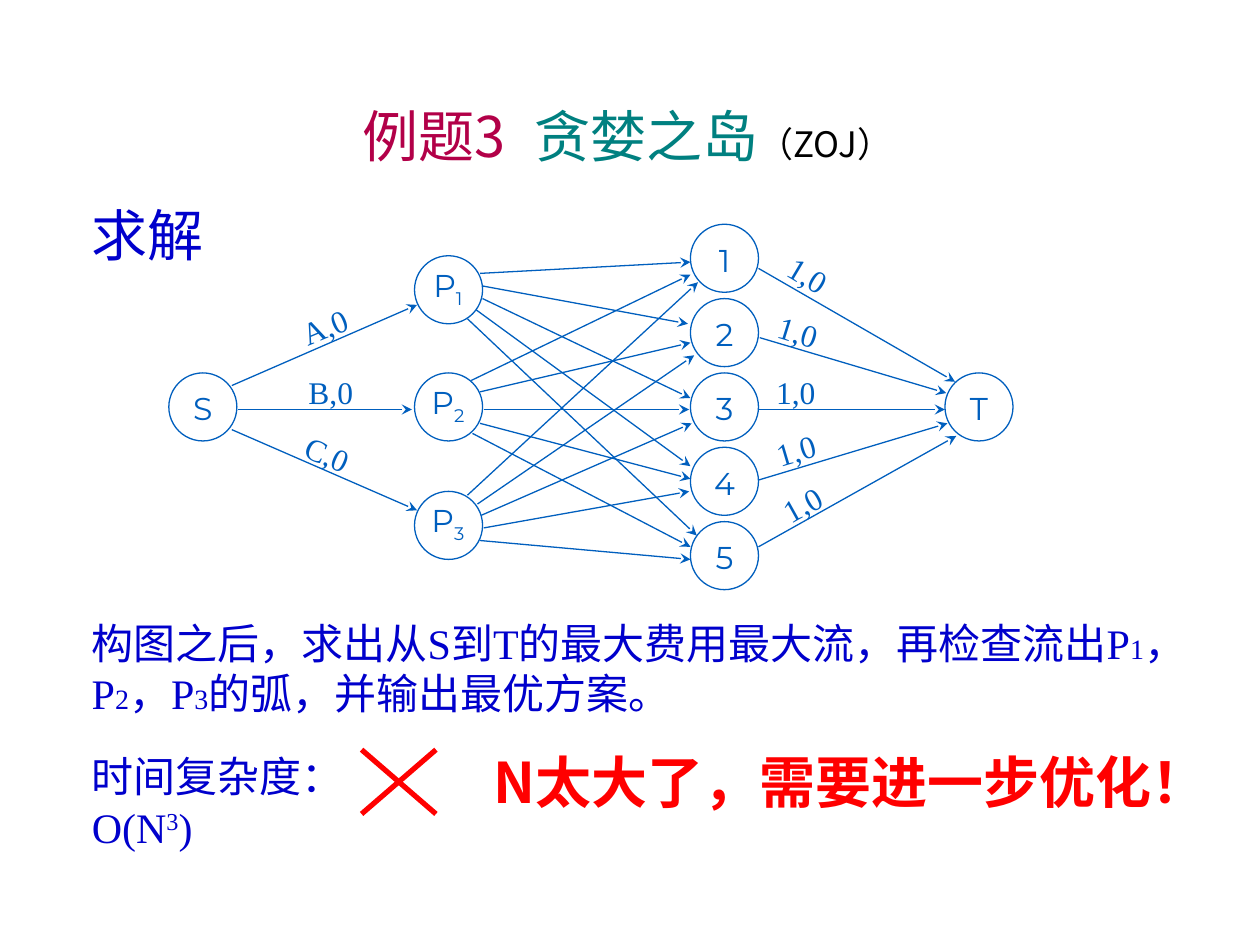
from dataclasses import dataclass

from lxml.etree import SubElement
from pptx import Presentation
from pptx.dml.color import RGBColor
from pptx.enum.shapes import MSO_CONNECTOR, MSO_SHAPE
from pptx.enum.text import MSO_ANCHOR, PP_ALIGN
from pptx.oxml.ns import qn
from pptx.shapes.shapetree import _BaseGroupShapes as Shapes
from pptx.util import Pt

PX = 9144  # 100 px to the inch


@dataclass(frozen=True)
class Theme:
    graph: str = "005FBE"
    body: str = "0000CC"
    alert: str = "FF0000"
    lead: str = "B20048"
    name: str = "008080"
    note: str = "000000"
    big: int = 32
    text: int = 24
    small: int = 20
    label: int = 18
    index: int = 16
    thin: float = 0.75
    thick: int = 3
    serif: str = "Times New Roman"
    sans: str = "Noto Sans CJK SC"
    round: str = "Montserrat"
    comic: str = "Comic Neue"
    plain: str = "Arial"


T = Theme()


@dataclass(frozen=True)
class Run:
    text: str
    size: int
    font: str
    color: str
    base: int = 0
    bold: bool = False
    gap: int = 0  # letter spacing, hundredths of a point


@dataclass(frozen=True)
class Box:
    x: int
    y: int
    w: int
    h: int
    runs: tuple[Run, ...]
    turn: float = 0


@dataclass(frozen=True)
class Node:
    x: int
    y: int
    text: str
    sub: str = ""


@dataclass(frozen=True)
class Edge:
    x1: int
    y1: int
    x2: int
    y2: int


def draw_text(shapes: Shapes, box: Box, center: bool = False, middle: bool = False) -> None:
    shape = shapes.add_textbox(box.x * PX, box.y * PX, box.w * PX, box.h * PX)
    shape.rotation = box.turn
    frame = shape.text_frame
    frame.word_wrap = True
    frame.vertical_anchor = MSO_ANCHOR.MIDDLE if middle else MSO_ANCHOR.TOP
    par = frame.paragraphs[0]
    par.alignment = PP_ALIGN.CENTER if center else PP_ALIGN.LEFT
    for item in box.runs:
        run = par.add_run()
        run.text = item.text
        font = run.font
        font.size, font.name, font.bold = Pt(item.size), item.font, item.bold
        font.color.rgb = RGBColor.from_string(item.color)
        props = run._r.get_or_add_rPr()
        SubElement(props, qn("a:ea")).set("typeface", T.sans)
        if item.base:
            props.set("baseline", str(item.base * 1000))
        if item.gap:
            props.set("spc", str(item.gap))


def draw_node(shapes: Shapes, node: Node) -> None:
    size = 54
    ring = shapes.add_shape(MSO_SHAPE.OVAL, node.x * PX, node.y * PX, size * PX, size * PX)
    ring.shadow.inherit = False
    ring.fill.background()
    ring.line.color.rgb = RGBColor.from_string(T.graph)
    ring.line.width = Pt(T.thin)
    runs = [Run(node.text, T.label, T.round, T.graph)]
    if node.sub:
        runs.append(Run(node.sub, T.label, T.round, T.graph, base=-25))
    top, high = (3, 44) if node.sub else (8, 40)
    wide = 79 if node.sub else 44
    box = Box(node.x + (size - wide) // 2, node.y + top, wide, high, tuple(runs))
    draw_text(shapes, box, center=True, middle=True)


def draw_line(shapes: Shapes, edge: Edge, color: str, width: float, arrow: bool) -> None:
    line = shapes.add_connector(
        MSO_CONNECTOR.STRAIGHT, edge.x1 * PX, edge.y1 * PX, edge.x2 * PX, edge.y2 * PX)
    line.line.color.rgb = RGBColor.from_string(color)
    line.line.width = Pt(width)
    if arrow:
        SubElement(line.line._get_or_add_ln(), qn("a:tailEnd")).set("type", "stealth")
    SubElement(line._element.spPr, qn("a:effectLst"))


def tag(x: int, y: int, text: str, turn: float = 0, w: int = 79) -> Box:
    """Cost label lying along an edge."""
    return Box(x, y, w, 40, (Run(text, T.label, T.serif, T.graph),), turn)


def body(text: str, size: int = T.text, base: int = 0, font: str = T.serif) -> Run:
    return Run(text, size, font, T.body, base)


NODES = [
    Node(134, 296, "S"),
    *(Node(329, y, "P", str(i)) for i, y in enumerate((203, 296, 390), 1)),
    *(Node(548, 178 + 59 * i, str(i + 1)) for i in range(5)),
    Node(750, 296, "T"),
]

EDGES = [Edge(*ends) for ends in (
    # S to P
    (184, 306, 331, 242), (189, 325, 327, 325), (184, 341, 331, 405),
    # P1 to 1..5
    (381, 217, 548, 208), (383, 227, 546, 257), (383, 237, 548, 316),
    (378, 246, 548, 370), (371, 253, 553, 425),
    # P2 to 1..5
    (374, 302, 548, 218), (381, 311, 548, 272), (384, 325, 547, 325),
    (381, 336, 548, 380), (375, 344, 548, 434),
    # P3 to 1..5
    (371, 393, 554, 224), (379, 400, 551, 282), (382, 409, 549, 336),
    (384, 419, 547, 390), (381, 429, 548, 444),
    # 1..5 to T
    (602, 213, 758, 303), (603, 268, 751, 312), (602, 325, 750, 325),
    (602, 381, 752, 336), (602, 434, 759, 346),
)]

TAGS = [
    tag(213, 239, "A,0", 337.3, 89),
    tag(223, 291, "B,0"),
    tag(223, 340, "C,0", 23.8, 74),
    tag(602, 198, "1,0", 30.8),
    tag(594, 243, "1,0", 17.2),
    tag(592, 291, "1,0"),
    tag(592, 337, "1,0", 343.4),
    tag(597, 380, "1,0", 330.8),
]

CROSS = [Edge(287, 595, 346, 646), Edge(346, 595, 287, 646)]

TITLE = Box(31, 75, 934, 64, (
    Run("例题3", T.big, T.sans, T.lead),
    Run(" ", T.big, T.sans, T.lead, gap=900),
    Run("贪婪之岛", T.big, T.comic, T.name),
    Run("（", T.small, T.plain, T.note),
    Run("ZOJ", T.small, T.sans, T.note),
    Run("）", T.small, T.plain, T.note),
))

TEXTS = [
    Box(63, 154, 244, 64, (body("求解", T.big, font=T.sans),)),
    Box(63, 485, 894, 90, (
        body("构图之后，求出从S到T的最大费用最大流，再检查流出P"), body("1", T.index),
        body("，P"), body("2", T.index),
        body("，P"), body("3", T.index),
        body("的弧，并输出最优方案。"),
    )),
    Box(63, 591, 295, 90, (
        body("时间复杂度：", font=T.sans), body("O(N"), body("3", base=30), body(")"),
    )),
    Box(382, 588, 591, 64, (
        Run("N太大了，需要进一步优化！", T.big, T.sans, T.alert, bold=True),
    )),
]


def main() -> None:
    deck = Presentation()
    deck.slide_width, deck.slide_height = 1000 * PX, 750 * PX
    slide = deck.slides.add_slide(deck.slide_layouts[6])
    draw_text(slide.shapes, TITLE, center=True, middle=True)
    graph = slide.shapes.add_group_shape().shapes
    for node in NODES:
        draw_node(graph, node)
    for edge in EDGES:
        draw_line(graph, edge, T.graph, T.thin, arrow=True)
    for box in TAGS:
        draw_text(graph, box, center=True, middle=True)
    for box in TEXTS:
        draw_text(slide.shapes, box)
    cross = slide.shapes.add_group_shape().shapes
    for edge in CROSS:
        draw_line(cross, edge, T.alert, T.thick, arrow=False)
    deck.save("out.pptx")


if __name__ == "__main__":
    main()
